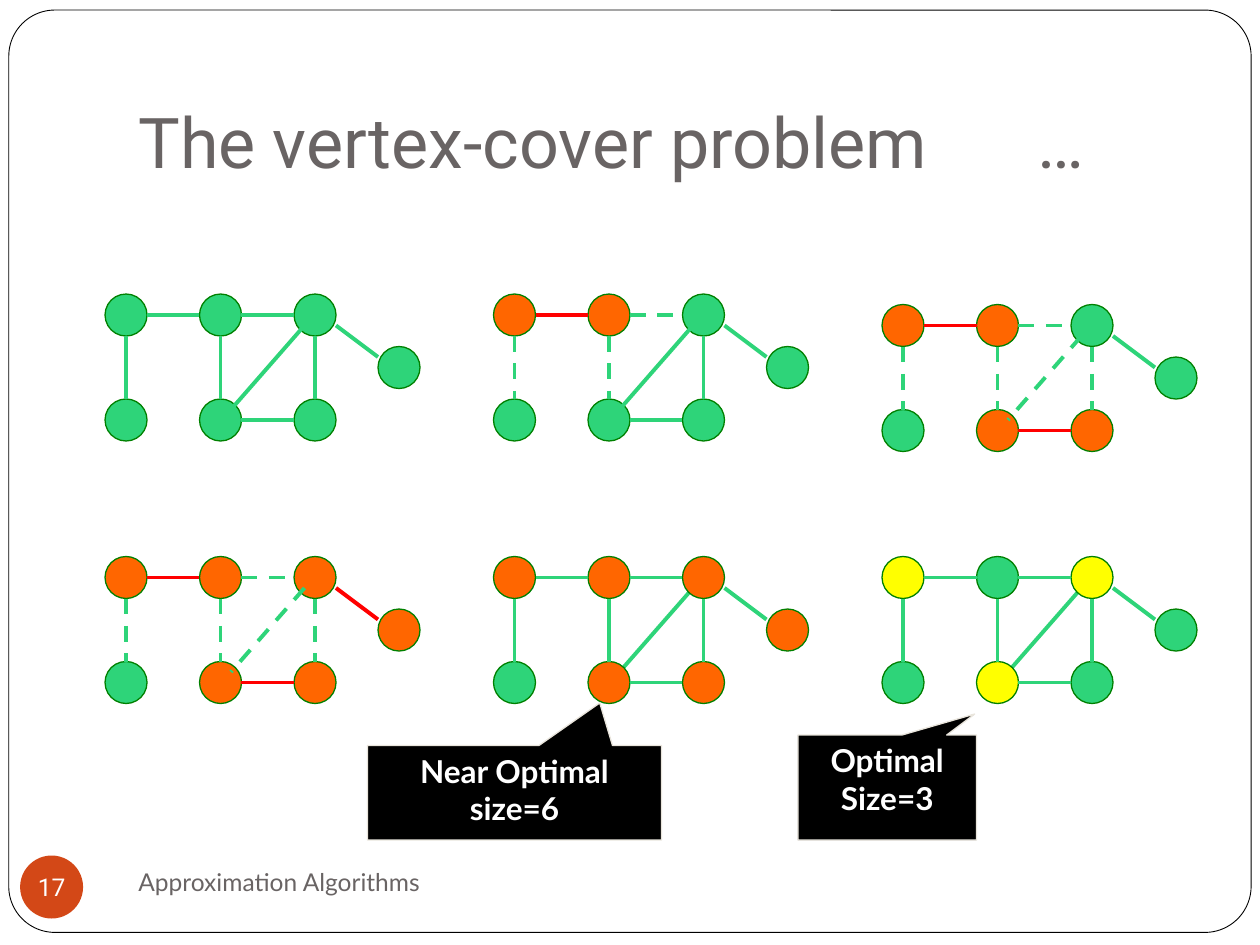
"""Build the slide on successive steps of the vertex-cover approximation."""
import pptx
import pptx.dml.color
import pptx.enum.dml
import pptx.enum.shapes
import pptx.enum.text
import pptx.oxml
import pptx.util
from lxml import etree

Inches = pptx.util.Inches
Pt = pptx.util.Pt
RGB = pptx.dml.color.RGBColor
SHAPE = pptx.enum.shapes.MSO_SHAPE
ALIGN = pptx.enum.text.PP_ALIGN
ANCHOR = pptx.enum.text.MSO_ANCHOR
DASH = pptx.enum.dml.MSO_LINE.DASH

WHITE = RGB(0xFF, 0xFF, 0xFF)
BLACK = RGB(0x00, 0x00, 0x00)
GREY = RGB(0x69, 0x64, 0x64)
RUST = RGB(0xD3, 0x48, 0x17)
GREEN = RGB(0x2E, 0xD4, 0x79)
FOREST = RGB(0x00, 0x80, 0x00)
ORANGE = RGB(0xFF, 0x66, 0x00)
YELLOW = RGB(0xFF, 0xFF, 0x00)
RED = RGB(0xFF, 0x00, 0x00)
CREAM = RGB(0xE9, 0xE5, 0xDC)

UNIT = 1 / 12
NODES = [(0, 0), (9, 0), (18, 0), (26, 5), (0, 10), (9, 10), (18, 10)]
EDGES = [
    (19, 3, 12, 11),
    (4, 2, 9, 2), (13, 2, 18, 2), (13, 12, 18, 12),
    (2, 4, 2, 10), (11, 4, 11, 10), (20, 4, 20, 10),
    (22, 3, 26, 6),
]
FILLS = {"g": GREEN, "o": ORANGE, "y": YELLOW}
LINES = {"-": (GREEN, None), ":": (GREEN, DASH), "r": (RED, None)}
GRAPHS = [
    (10, 28, "ggggggg", "--------", 0),
    (47, 28, "ooggggg", "-r:-::--", 0),
    (10, 53, "oooogoo", ":r:r:::r", 0),
    (84, 29, "oogggoo", ":r:r:::-", 0),
    (84, 53, "ygyggyg", "--------", 1),
    (47, 53, "oooogoo", "--------", 1),
]


class Deck:
    """Hold the style and the current slide."""

    def __init__(self):
        self.prs = pptx.Presentation()
        self.prs.slide_width, self.prs.slide_height = Inches(10), Inches(7.5)
        self.slide = self.prs.slides.add_slide(self.prs.slide_layouts[6])
        self.items = self.slide.shapes

    def shape(self, kind, box, fill, line=None, width=0.75, adjust=()):
        item = self.items.add_shape(kind, *map(Inches, box))
        item.shadow.inherit = False
        item.fill.solid()
        item.fill.fore_color.rgb = fill
        if line is None:
            item.line.fill.background()
        else:
            item.line.color.rgb = line
            item.line.width = Pt(width)
        for i, value in enumerate(adjust):
            item.adjustments[i] = value
        return item

    def text(self, item, words, size, font, color, align, anchor, bold=False):
        frame = item.text_frame
        frame.text = words
        frame.word_wrap = True
        frame.vertical_anchor = anchor
        for para in frame.paragraphs:
            para.alignment = align
            for run in para.runs:
                run.font.size, run.font.name = Pt(size), font
                run.font.color.rgb, run.font.bold = color, bold
        return frame

    def label(self, box, words, size, font, anchor):
        item = self.items.add_textbox(*map(Inches, box))
        return self.text(item, words, size, font, GREY, ALIGN.LEFT, anchor)

    def badge(self, box, words):
        item = self.shape(SHAPE.OVAL, box, RUST)
        frame = self.text(item, words, 14, "Roboto", WHITE, ALIGN.CENTER, ANCHOR.MIDDLE)
        frame.word_wrap = False
        frame.margin_left = frame.margin_right = 0
        frame.margin_top = frame.margin_bottom = 0

    def callout(self, box, tip, words):
        box = [n * UNIT for n in box]
        item = self.shape(SHAPE.RECTANGULAR_CALLOUT, box, BLACK, CREAM, adjust=tip)
        self.text(item, words, 18, "Lato", WHITE, ALIGN.CENTER, ANCHOR.TOP, True)

    def edge(self, left, top, ends, style):
        x1, y1, x2, y2 = ends
        spots = (left + x1, top + y1, left + x2, top + y2)
        link = self.items.add_connector(
            pptx.enum.shapes.MSO_CONNECTOR.STRAIGHT, *(Inches(n * UNIT) for n in spots))
        link.line.color.rgb, dash = LINES[style]
        link.line.width = Pt(2.25)
        if dash:
            link.line.dash_style = dash
        props = link._element.spPr
        etree.SubElement(props, pptx.oxml.ns.qn("a:effectLst"))

    def graph(self, left, top, fills, styles, under):
        links = list(zip(EDGES, styles))
        for ends, style in links[:under]:
            self.edge(left, top, ends, style)
        for (x, y), fill in zip(NODES, fills):
            box = [n * UNIT for n in (left + x, top + y, 4, 4)]
            self.shape(SHAPE.FLOWCHART_CONNECTOR, box, FILLS[fill], FOREST)
        for ends, style in links[under:]:
            self.edge(left, top, ends, style)


def main():
    deck = Deck()
    deck.shape(SHAPE.ROUNDED_RECTANGLE, (0.07, 0.08, 9.86, 7.32), WHITE, BLACK, 0.5, [0.05])
    title = deck.label((1, 0.3, 8.5, 1.25), "The vertex-cover problem\t …", 40,
                       "Roboto", ANCHOR.BOTTOM)
    title.margin_bottom = Inches(0.1)
    props = title.paragraphs[0]._p.get_or_add_pPr()
    tabs = etree.SubElement(props, pptx.oxml.ns.qn("a:tabLst"))
    etree.SubElement(tabs, pptx.oxml.ns.qn("a:tab"), pos=str(Inches(7)), algn="l")
    deck.label((1, 6.75, 4.33, 0.5), "Approximation Algorithms", 14, "Lato", ANCHOR.MIDDLE)
    deck.badge((0.16, 6.79, 0.5, 0.5), "17")
    for graph in GRAPHS:
        deck.graph(*graph)
    deck.callout((76, 70, 17, 10), (0.49, -0.7), "Optimal\nSize=3")
    deck.callout((35, 71, 28, 9), (0.29, -0.95), "Near Optimal\nsize=6")
    deck.prs.save("out.pptx")


if __name__ == "__main__":
    main()
